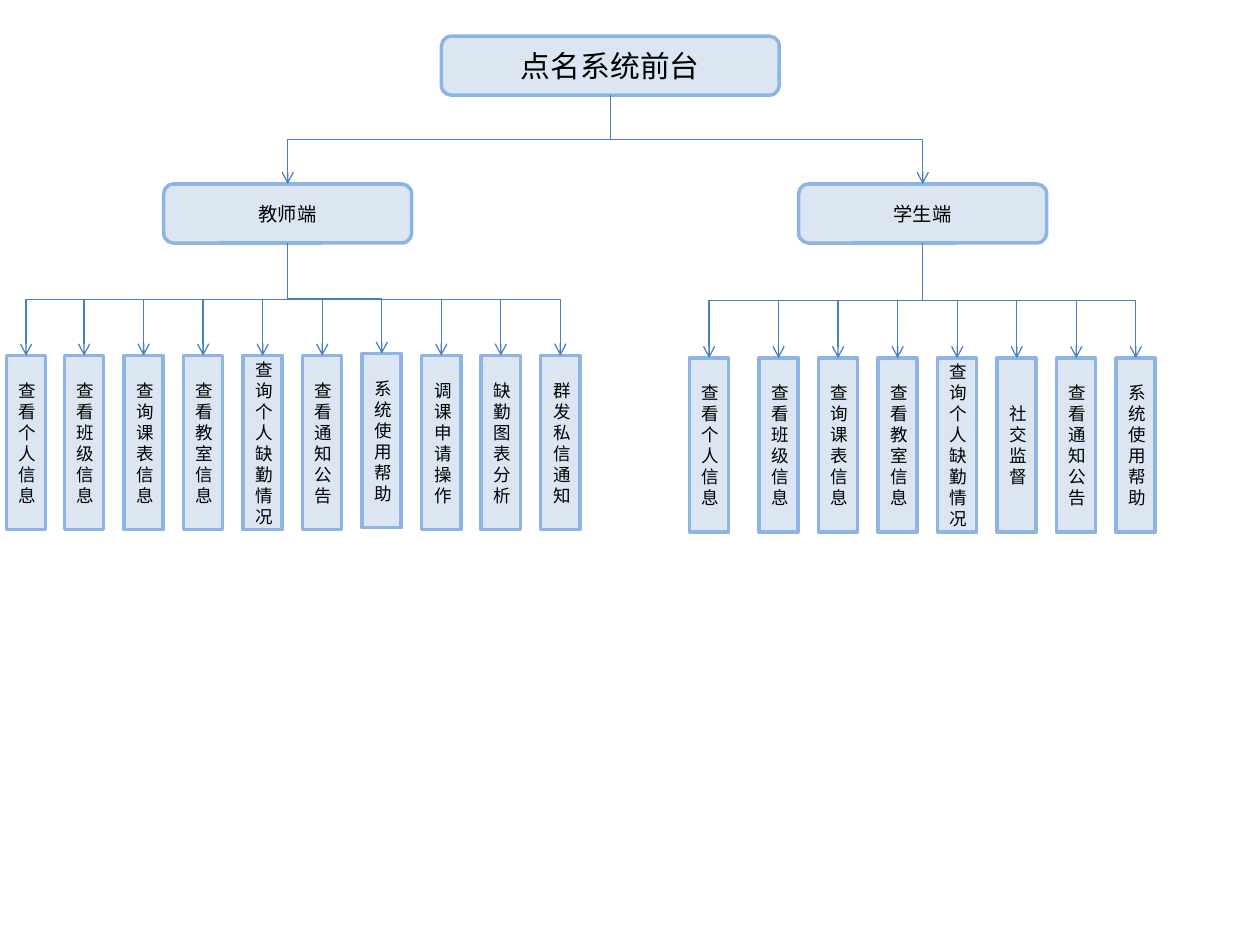
"""Build a chart of the roll-call system front end and its two user sides."""
from lxml import etree
from pptx import Presentation
from pptx import util as u
from pptx.dml.color import RGBColor
from pptx.enum import shapes, text
from pptx.oxml.ns import qn

FONT = "Noto Sans CJK SC"
BOX_FILL = RGBColor(0xDC, 0xE6, 0xF2)
BOX_LINE = RGBColor(0x8E, 0xB4, 0xE3)
ARROW_LINE = RGBColor(0x4B, 0x7E, 0xBC)
BLACK = RGBColor(0, 0, 0)

ROOT = "点名系统前台"
SIDES = [
    {
        "name": "学生端", "left": 16.1, "first_left": 13.9, "second_left": 15.3, "top": 7.22,
        "functions": ["查看个人信息", "查看班级信息", "查询课表信息", "查看教室信息",
                      "查询个人缺勤情况", "社交监督", "查看通知公告", "系统使用帮助"],
        "raised": {},
    },
    {
        "name": "教师端", "left": 3.3, "first_left": 0.13, "second_left": 1.3, "top": 7.17,
        "functions": ["查看个人信息", "查看班级信息", "查询课表信息", "查看教室信息",
                      "查询个人缺勤情况", "查看通知公告", "系统使用帮助", "调课申请操作",
                      "缺勤图表分析", "群发私信通知"],
        "raised": {"系统使用帮助": 0.04},
    },
]
BOX_HEIGHT = 1.19
SIDE_TOP, SIDE_WIDTH = 3.71, 5
LEAF_WIDTH, LEAF_HEIGHT, LEAF_PITCH = 0.79, 3.51, 1.2

presentation = Presentation()
presentation.slide_width, presentation.slide_height = u.Cm(25.4), u.Cm(19.05)
slide = presentation.slides.add_slide(presentation.slide_layouts[6])


def add_box(label, *, left, top, width, height=BOX_HEIGHT, size=10,
            kind=shapes.MSO_SHAPE.RECTANGLE):
    shape = slide.shapes.add_shape(kind, u.Cm(left), u.Cm(top), u.Cm(width), u.Cm(height))
    shape.shadow.inherit = False
    shape.fill.solid()
    shape.fill.fore_color.rgb = BOX_FILL
    shape.line.color.rgb = BOX_LINE
    shape.line.width = u.Pt(2)
    frame = shape.text_frame
    frame.word_wrap = True
    frame.vertical_anchor = text.MSO_ANCHOR.MIDDLE
    paragraph = frame.paragraphs[0]
    paragraph.alignment = text.PP_ALIGN.CENTER
    run = paragraph.add_run()
    run.text = label
    run.font.size = u.Pt(size)
    run.font.name = FONT
    run.font.color.rgb = BLACK
    etree.SubElement(run.font._element, qn("a:ea"), typeface=FONT)
    return shape


def add_arrow(parent, child):
    start_x, start_y = parent.left + parent.width // 2, parent.top + parent.height
    end_x, end_y = child.left + child.width // 2, child.top
    connector = slide.shapes.add_connector(
        shapes.MSO_CONNECTOR.ELBOW, start_x, start_y, end_x, end_y)
    connector.begin_connect(parent, 2)
    connector.end_connect(child, 0)
    length, spread = end_y - start_y, abs(end_x - start_x)
    connector.left = (start_x + end_x - length) // 2
    connector.top = (start_y + end_y - spread) // 2
    connector.width, connector.height = length, spread
    rightward = end_x > start_x
    properties = connector._element.spPr
    frame = properties.find(qn("a:xfrm"))
    frame.set("rot", "16200000" if rightward else "5400000")
    frame.set("flipH", "1" if rightward else "0")
    frame.set("flipV", "0")
    connector.line.color.rgb = ARROW_LINE
    connector.line.width = u.Pt(0.75)
    etree.SubElement(properties.find(qn("a:ln")), qn("a:tailEnd"), type="arrow")
    etree.SubElement(properties, qn("a:effectLst"))


rounded = shapes.MSO_SHAPE.ROUNDED_RECTANGLE
root_box = add_box(ROOT, left=8.9, top=0.73, width=6.81, size=17, kind=rounded)
links = []
for side in SIDES:
    side_box = add_box(side["name"], left=side["left"], top=SIDE_TOP, width=SIDE_WIDTH,
                       size=11, kind=rounded)
    links.append((root_box, side_box))
    for index, name in enumerate(side["functions"]):
        left = side["second_left"] + (index - 1) * LEAF_PITCH if index else side["first_left"]
        leaf = add_box(name, left=left, top=side["top"] - side["raised"].get(name, 0),
                       width=LEAF_WIDTH, height=LEAF_HEIGHT)
        links.append((side_box, leaf))

for parent, child in links:
    add_arrow(parent, child)

presentation.save("out.pptx")
